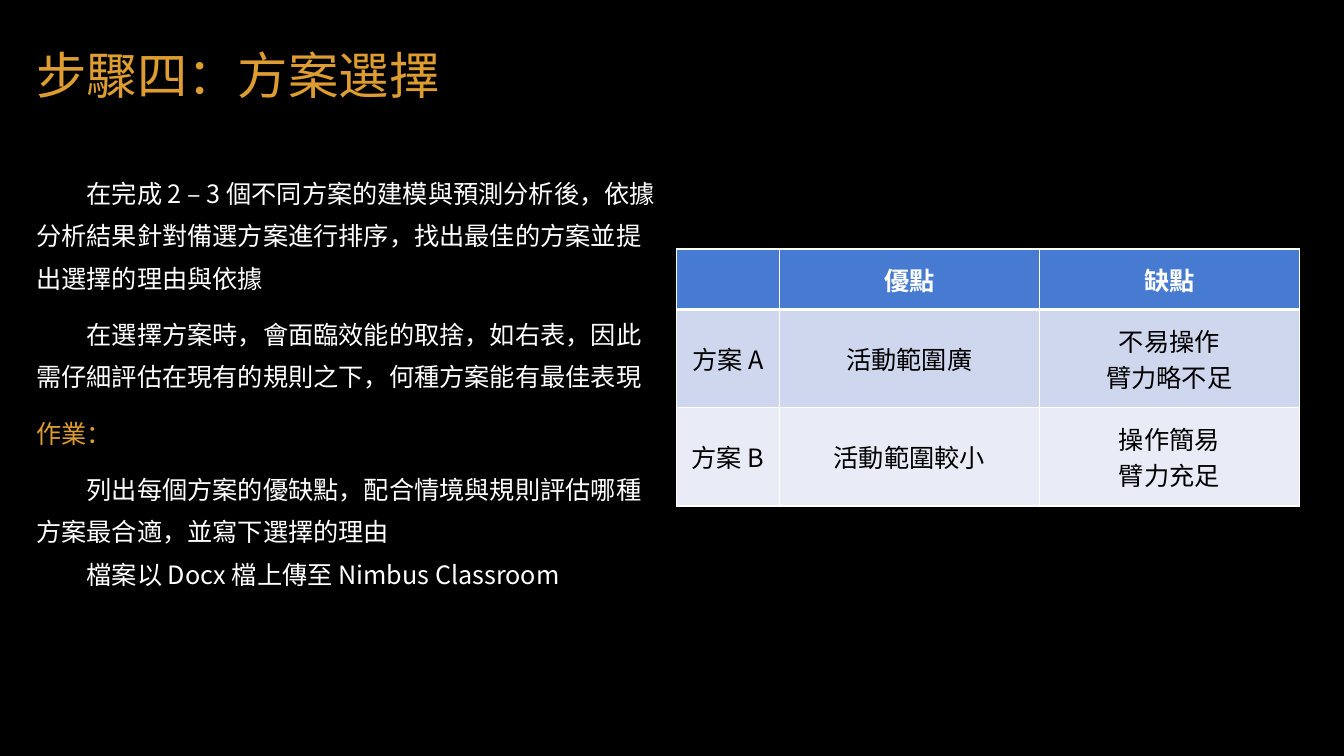
from lxml.etree import SubElement
from pptx import Presentation
from pptx.dml.color import RGBColor
from pptx.enum.text import MSO_ANCHOR, MSO_AUTO_SIZE, PP_ALIGN
from pptx.oxml.ns import qn
from pptx.util import Inches, Pt

FONT = "Noto Sans CJK TC"
BLACK = RGBColor(0x00, 0x00, 0x00)
WHITE = RGBColor(0xFF, 0xFF, 0xFF)
GOLD = RGBColor(0xDD, 0x9D, 0x31)
BLUE = RGBColor(0x47, 0x7B, 0xD1)
LILAC = RGBColor(0xCF, 0xD7, 0xEE)
PALE = RGBColor(0xE9, 0xEC, 0xF7)

COLS, ROWS = 40, 30
INDENT = Pt(36)

# text, colour, first-line indent, space after
BODY = [
    ("在完成 2 – 3 個不同方案的建模與預測分析後，依據分析結果針對備選方案進行排序，"
     "找出最佳的方案並提出選擇的理由與依據", WHITE, INDENT, 10),
    ("在選擇方案時，會面臨效能的取捨，如右表，因此需仔細評估在現有的規則之下，"
     "何種方案能有最佳表現", WHITE, INDENT, 10),
    ("作業：", GOLD, 0, 10),
    ("列出每個方案的優缺點，配合情境與規則評估哪種方案最合適，並寫下選擇的理由",
     WHITE, INDENT, 0),
    ("檔案以 Docx 檔上傳至 Nimbus Classroom", WHITE, INDENT, 10),
]

PLANS = [
    [[], ["優點"], ["缺點"]],
    [["方案 A"], ["活動範圍廣"], ["不易操作", "臂力略不足"]],
    [["方案 B"], ["活動範圍較小"], ["操作簡易", "臂力充足"]],
]


class Deck:
    def __init__(self):
        self.show = Presentation()
        self.show.slide_width = Inches(13.33)
        self.show.slide_height = Inches(7.5)
        self.slide = self.show.slides.add_slide(self.show.slide_layouts[1])
        self.paint(self.slide.background.fill, BLACK)

    def across(self, cols):
        return round(self.show.slide_width * cols / COLS)

    def down(self, rows):
        return round(self.show.slide_height * rows / ROWS)

    def paint(self, fill, color):
        fill.solid()
        fill.fore_color.rgb = color

    def add_text(self, para, text, color, size=18, bold=False):
        run = para.add_run()
        run.text = text
        font = run.font
        font.name, font.size, font.bold = FONT, Pt(size), bold
        font.color.rgb = color
        SubElement(run._r.get_or_add_rPr(), qn("a:ea"), typeface=FONT)

    def place(self, shape, left, top, width, height):
        shape.left, shape.top = self.across(left), self.down(top)
        shape.width, shape.height = self.across(width), self.down(height)
        frame = shape.text_frame
        frame.word_wrap = True
        frame.auto_size = MSO_AUTO_SIZE.NONE
        return frame

    def title(self, text, *box):
        frame = self.place(self.slide.shapes.title, *box)
        frame.vertical_anchor = MSO_ANCHOR.MIDDLE
        para = frame.paragraphs[0]
        para.alignment = PP_ALIGN.LEFT
        self.add_text(para, text, GOLD, 36)

    def body(self, items, *box):
        frame = self.place(self.slide.placeholders[1], *box)
        frame.vertical_anchor = MSO_ANCHOR.TOP
        for i, (text, color, indent, after) in enumerate(items):
            para = frame.add_paragraph() if i else frame.paragraphs[0]
            para.line_spacing = 1.4
            para.space_before, para.space_after = Pt(0), Pt(after)
            props = para._p.get_or_add_pPr()
            props.set("marL", "0")
            props.set("indent", str(int(indent)))
            SubElement(props, qn("a:buNone"))
            self.add_text(para, text, color)

    def border(self, cell, sides):
        """Draw white edges; sides maps L, R, T, B in that order to points."""
        props = cell._tc.get_or_add_tcPr()
        for side, width in sides.items():
            line = SubElement(props, qn(f"a:ln{side}"), w=str(int(Pt(width))))
            fill = SubElement(line, qn("a:solidFill"))
            SubElement(fill, qn("a:srgbClr"), val=str(WHITE))

    def cell(self, cell, lines, fill, color, bold, sides):
        self.border(cell, sides)
        self.paint(cell.fill, fill)
        cell.vertical_anchor = MSO_ANCHOR.MIDDLE
        para = cell.text_frame.paragraphs[0]
        para.alignment = PP_ALIGN.CENTER
        for i, line in enumerate(lines):
            if i:
                para.add_line_break()
            self.add_text(para, line, color, bold=bold)

    def table(self, data, left, top, widths, heights):
        grid = self.slide.shapes.add_table(
            len(heights), len(widths), self.across(left), self.down(top),
            self.across(sum(widths)), self.down(sum(heights))).table
        grid.horz_banding = False
        for col, width in zip(grid.columns, widths):
            col.width = self.across(width)
        for r, (row, height) in enumerate(zip(grid.rows, heights)):
            row.height = self.down(height)
            head = r == 0
            sides = {"L": 1, "R": 1, "T": 3 if r == 1 else 1, "B": 3 if head else 1}
            for cell, lines in zip(row.cells, data[r]):
                self.cell(cell, lines, (BLUE, LILAC, PALE)[r],
                          WHITE if head else BLACK, head, sides)


def main():
    deck = Deck()
    deck.title("步驟四：方案選擇", 0.78, 0.84, 29.85, 4.2)
    deck.body(BODY, 0.78, 6.4, 19.2, 17.2)
    deck.table(PLANS, 20.13, 9.88, [3.06, 7.74, 7.74], [2.4, 3.88, 3.92])
    deck.show.save("out.pptx")


if __name__ == "__main__":
    main()
